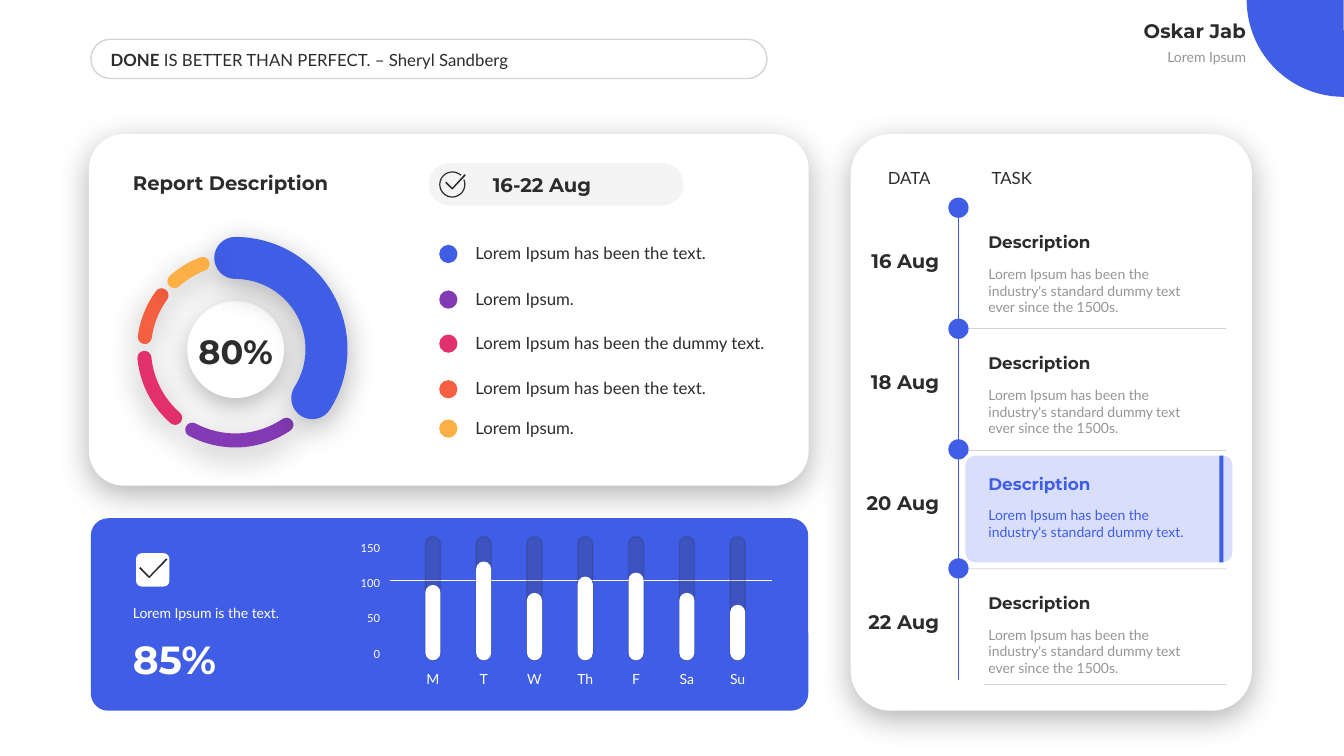
from dataclasses import dataclass
from math import cos, radians, sin

from lxml.etree import SubElement
from pptx import Presentation
from pptx.dml.color import RGBColor
from pptx.enum.shapes import MSO_CONNECTOR as Connector, MSO_SHAPE as Shape
from pptx.enum.text import MSO_ANCHOR as Anchor, MSO_AUTO_SIZE as AutoSize, PP_ALIGN as Align
from pptx.oxml.ns import qn
from pptx.util import Cm, Pt


@dataclass(frozen=True)
class Theme:
    blue: str = "405DE6"
    purple: str = "833AB4"
    pink: str = "E1306C"
    orange: str = "F56040"
    yellow: str = "FCAF45"
    pale: str = "D9DFFA"
    ink: str = "2C2C2C"
    grey: str = "969696"
    white: str = "FFFFFF"
    shade: str = "000000"
    heading_font: str = "Montserrat"
    body_font: str = "Lato"
    huge: int = 28
    large: int = 24
    heading: int = 14
    body: int = 12
    small: int = 10
    tiny: int = 8


class Board:
    def __init__(self, slide, theme):
        self.slide = slide
        self.theme = theme

    def fade(self, shape, query, opacity):
        for colour in shape.element.spPr.xpath(query):
            SubElement(colour, qn("a:alpha"), val=str(opacity * 1000))

    def fill(self, shape, colour, opacity=100):
        if colour is None:
            shape.fill.background()
            return
        shape.fill.solid()
        shape.fill.fore_color.rgb = RGBColor.from_string(colour)
        if opacity < 100:
            self.fade(shape, "./a:solidFill/a:srgbClr", opacity)

    def stroke(self, shape, colour, width, opacity=100):
        shape.line.color.rgb = RGBColor.from_string(colour)
        shape.line.width = Pt(width)
        if opacity < 100:
            self.fade(shape, "./a:ln/a:solidFill/a:srgbClr", opacity)

    def shape(self, kind, box, colour=None, opacity=100, adjust=(), outlined=False, shadow=False):
        shape = self.slide.shapes.add_shape(kind, *map(Cm, box))
        for index, value in enumerate(adjust):
            shape.adjustments[index] = value
        self.fill(shape, colour, opacity)
        if outlined:
            self.stroke(shape, self.theme.ink, 1, 20)
        else:
            shape.line.fill.background()
        shape.shadow.inherit = False
        if shadow:
            self.cast_shadow(shape)
        return shape

    def cast_shadow(self, shape):
        effects = shape.element.spPr.find(qn("a:effectLst"))
        shadow = SubElement(effects, qn("a:outerShdw"), blurRad=str(Pt(23)), dist=str(Pt(6)),
                            dir="5400000", algn="t", rotWithShape="0")
        colour = SubElement(shadow, qn("a:srgbClr"), val=self.theme.shade)
        SubElement(colour, qn("a:alpha"), val="30000")

    def rounded(self, box, colour=None, radius=0.5, **options):
        return self.shape(Shape.ROUNDED_RECTANGLE, box, colour, adjust=[radius], **options)

    def dot(self, left, top, size, colour, **options):
        return self.shape(Shape.OVAL, (left, top, size, size), colour, **options)

    def ring_arc(self, box, angles, colour, width):
        shape = self.shape(Shape.ARC, box, adjust=angles, shadow=True)
        self.stroke(shape, colour, width)
        shape.element.spPr.find(qn("a:ln")).set("cap", "rnd")

    def line(self, start, end, colour, opacity=100):
        connector = self.slide.shapes.add_connector(Connector.STRAIGHT, *map(Cm, start + end))
        self.stroke(connector, colour, 0.5, opacity)
        SubElement(connector.element.spPr, qn("a:effectLst"))

    def outline(self, contours, colour):
        first, *others = [[(Cm(x), Cm(y)) for x, y in points] for points in contours]
        builder = self.slide.shapes.build_freeform(*first[0])
        builder.add_line_segments(first[1:])
        for points in others:
            builder.move_to(*points[0])
            builder.add_line_segments(points[1:])
        shape = builder.convert_to_shape()
        self.fill(shape, colour)
        shape.line.fill.background()
        shape.shadow.inherit = False

    def text(self, box, runs, size, colour, heading=False, align=Align.LEFT, anchor=Anchor.TOP, side=0.25):
        frame = self.slide.shapes.add_textbox(*map(Cm, box)).text_frame
        frame.word_wrap = True
        frame.auto_size = AutoSize.SHAPE_TO_FIT_TEXT
        frame.vertical_anchor = anchor
        frame.margin_left = frame.margin_right = Cm(side)
        paragraph = frame.paragraphs[0]
        paragraph.alignment = align
        for words, bold in [(runs, heading)] if isinstance(runs, str) else runs:
            run = paragraph.add_run()
            run.text = words
            run.font.name = self.theme.heading_font if heading else self.theme.body_font
            run.font.size = Pt(size)
            run.font.bold = bold
            run.font.color.rgb = RGBColor.from_string(colour)


def draw_header(board, theme):
    board.shape(Shape.ARC, (31.42, -2.44, 4.88, 4.88), theme.blue, adjust=(53.78, 108.27))
    board.text((25.76, 1.09, 5.89, 0.69), "Lorem Ipsum", theme.small, theme.grey, align=Align.RIGHT)
    board.text((25.76, 0.33, 5.89, 0.86), "Oskar Jab", theme.heading, theme.ink, True,
               Align.RIGHT, Anchor.BOTTOM)
    board.rounded((2.29, 0.99, 17.04, 0.99), outlined=True)
    quote = [("DONE", True), (" IS BETTER THAN PERFECT. – Sheryl Sandberg", False)]
    board.text((2.69, 1.12, 14.33, 0.76), quote, theme.body, theme.ink, anchor=Anchor.MIDDLE, side=0.1)


def draw_report(board, theme):
    board.rounded((2.24, 3.38, 18.14, 8.86), theme.white, 0.1, shadow=True)
    board.text((3.1, 4.17, 8.94, 0.86), "Report Description", theme.heading, theme.ink, True,
               anchor=Anchor.BOTTOM)
    board.rounded((10.8, 4.11, 6.43, 1.07), theme.ink, opacity=5)
    tick = [(11.22, 4.61), (11.25, 4.58), (11.4, 4.73), (11.71, 4.39), (11.74, 4.42), (11.4, 4.78)]
    sweep = range(-23, 316, 6)
    circle = [(11.4 + radius * cos(radians(angle)), 4.65 + radius * sin(radians(angle)))
              for radius, angles in ((0.33, sweep), (0.3, reversed(sweep))) for angle in angles]
    board.outline([tick, circle], theme.ink)
    board.text((12.17, 4.22, 4.78, 0.86), "16-22 Aug", theme.heading, theme.ink, True, anchor=Anchor.MIDDLE)

    board.dot(4.72, 7.59, 2.44, theme.white, shadow=True)
    board.text((4.57, 8.2, 2.74, 1.27), "80%", theme.large, theme.ink, True, Align.CENTER, Anchor.BOTTOM)
    for colour, angles, width in [
        (theme.orange, (112.61, 129.69), 10),
        (theme.pink, (78.71, 104.7), 10),
        (theme.purple, (33.54, 70.86), 10),
        (theme.blue, (162, 19.46), 30),
        (theme.yellow, (136.92, 149.42), 10),
    ]:
        board.ring_arc((3.63, 6.5, 4.6, 4.6), angles, colour, width)

    for top, colour, label in [
        (6.17, theme.blue, "Lorem Ipsum has been the text."),
        (7.32, theme.purple, "Lorem Ipsum."),
        (8.43, theme.pink, "Lorem Ipsum has been the dummy text."),
        (9.58, theme.orange, "Lorem Ipsum has been the text."),
        (10.57, theme.yellow, "Lorem Ipsum."),
    ]:
        board.dot(11.07, top, 0.46, colour)
        board.text((11.73, top - 0.18, 8.03, 0.76), label, theme.body, theme.ink, anchor=Anchor.MIDDLE)


def draw_week(board, theme):
    board.rounded((2.29, 13.06, 18.08, 4.85), theme.blue, 0.09)
    board.rounded((3.43, 13.94, 0.84, 0.84), theme.white, 0.17)
    board.text((3.1, 15.09, 4.78, 0.69), "Lorem Ipsum is the text.", theme.small, theme.white,
               anchor=Anchor.BOTTOM)
    board.text((3.1, 15.88, 4.78, 1.45), "85%", theme.huge, theme.white, True)
    tick = [(3.51, 14.32), (3.54, 14.29), (3.76, 14.52), (4.19, 14.07), (4.22, 14.1), (3.76, 14.57)]
    board.outline([tick], theme.ink)
    board.line((9.83, 14.63), (19.46, 14.63), theme.white)
    for index, value in enumerate((150, 100, 50, 0)):
        board.text((8.59, 13.51 + index * 0.89, 1.24, 0.61), str(value), theme.tiny, theme.white,
                   align=Align.RIGHT)

    width, track, bottom = 0.38, 3.12, 16.64
    days = {"M": 1.9, "T": 2.49, "W": 1.7, "Th": 2.11, "F": 2.21, "Sa": 1.7, "Su": 1.4}
    for index, (day, height) in enumerate(days.items()):
        left = 10.72 + index * 1.28
        board.rounded((left, bottom - track, width, track), theme.ink, opacity=20, outlined=True)
        board.rounded((left, bottom - height, width, height), theme.white)
        board.text((left - 0.31, 16.76, 1, 0.69), day, theme.small, theme.white, align=Align.CENTER, side=0)


def draw_tasks(board, theme):
    board.rounded((21.44, 3.38, 10.11, 14.53), theme.white, 0.1, shadow=True)
    board.rounded((24.33, 11.48, 6.73, 2.69), theme.pale, 0.09)
    board.text((24.74, 4.09, 4.47, 0.76), "TASK", theme.body, theme.ink, anchor=Anchor.MIDDLE)
    board.text((21.62, 4.09, 2.08, 0.76), "DATA", theme.body, theme.ink, align=Align.RIGHT,
               anchor=Anchor.MIDDLE)
    short = "Lorem Ipsum has been the industry's standard dummy text"
    full = f"{short} ever since the 1500s."
    for top, date, words, active, rule_left, rule_top in [
        (4.98, "16 Aug", full, False, 24.41, 8.28),
        (8.03, "18 Aug", full, False, 24.41, 11.35),
        (11.07, "20 Aug", f"{short}.", True, 24.41, 14.33),
        (14.07, "22 Aug", full, False, 24.79, 17.25),
    ]:
        board.line((24.16, top + 3.07), (24.16, top + 0.36), theme.blue)
        board.dot(23.9, top, 0.51, theme.blue)
        board.text((21.64, top + 1.15, 2.13, 0.86), date, theme.heading, theme.ink, True,
                   Align.RIGHT, Anchor.BOTTOM, 0.1)
        board.text((24.66, top + 1.58, 6.02, 1.12 if active else 1.55), words, theme.small,
                   theme.blue if active else theme.grey)
        board.text((24.66, top + 0.74, 6.02, 0.76), "Description", theme.body,
                   theme.blue if active else theme.ink, True, anchor=Anchor.BOTTOM)
        board.line((rule_left, rule_top), (30.9, rule_top), theme.ink, 20)
    board.shape(Shape.RECTANGLE, (30.73, 11.48, 0.1, 2.69), theme.blue)


def main():
    presentation = Presentation()
    presentation.slide_width, presentation.slide_height = Cm(33.87), Cm(19.05)
    theme = Theme()
    board = Board(presentation.slides.add_slide(presentation.slide_layouts[6]), theme)
    for draw in (draw_header, draw_report, draw_week, draw_tasks):
        draw(board, theme)
    presentation.save("out.pptx")


if __name__ == "__main__":
    main()
